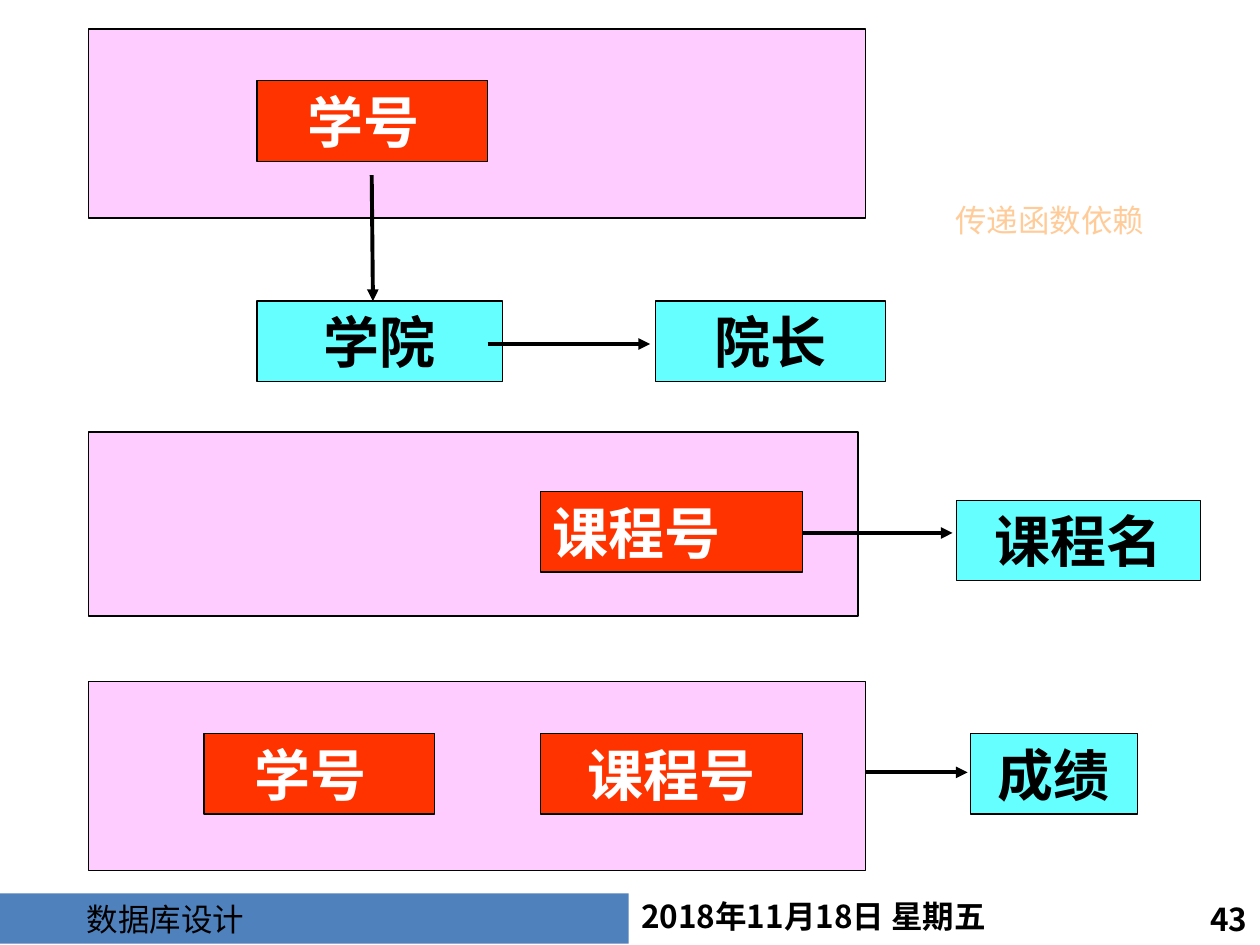
from dataclasses import dataclass

from lxml.etree import SubElement as Sub
from pptx import Presentation
from pptx.dml.color import RGBColor as Rgb
from pptx.enum.shapes import MSO_CONNECTOR as Conn, MSO_SHAPE as Kind
from pptx.enum.text import MSO_ANCHOR as Anchor, PP_ALIGN as Align
from pptx.oxml.ns import qn
from pptx.util import Inches, Pt


@dataclass(frozen=True)
class Theme:
    """Colours, fonts and type sizes of the slide."""
    panel: str = "FFCCFF"
    key: str = "FF3300"
    field: str = "66FFFF"
    bar: str = "4F81BD"
    ink: str = "000000"
    white: str = "FFFFFF"
    note: str = "FFCC99"
    serif: str = "Times New Roman"
    sans: str = "Noto Sans CJK SC"
    bar_face: str = "Noto Sans CJK JP"
    big: int = 32
    small: int = 18
    thin: float = 0.75
    thick: float = 2.25


T = Theme()
LEFT, MID, RIGHT = Align.LEFT, Align.CENTER, Align.RIGHT


def apply(item, form):
    """Set each format value on the item."""
    for name, value in form.items():
        setattr(item, name, value)


def write(shape, text, color, face, size, bold=True, align=MID, pad=0.1,
          anchor=Anchor.MIDDLE, wrap=True):
    """Put one formatted line of text in a shape."""
    frame = shape.text_frame
    apply(frame, {
        "word_wrap": wrap, "vertical_anchor": anchor,
        "margin_left": Inches(pad), "margin_right": Inches(0.1),
        "margin_top": Inches(0.05), "margin_bottom": Inches(0.05),
    })
    para = frame.paragraphs[0]
    para.alignment = align
    run = para.add_run()
    run.text = text
    apply(run.font, {"name": face, "size": Pt(size), "bold": bold})
    run.font.color.rgb = Rgb.from_string(color)
    east = T.sans if face == T.serif else face
    Sub(run.font._element, qn("a:ea"), typeface=east)


def block(slide, area, fill, edge=True):
    """Draw a flat rectangle."""
    shape = slide.shapes.add_shape(Kind.RECTANGLE, *map(Inches, area))
    shape.shadow.inherit = False
    shape.fill.solid()
    shape.fill.fore_color.rgb = Rgb.from_string(fill)
    if edge:
        shape.line.color.rgb = Rgb.from_string(T.ink)
        shape.line.width = Pt(T.thin)
    else:
        shape.line.fill.background()
    return shape


def node(slide, text, left, top, width, fill, **form):
    """Draw a labelled attribute box."""
    color = T.white if fill == T.key else T.ink
    shape = block(slide, (left, top, width, 0.64), fill)
    write(shape, text, color, T.serif, T.big, **form)


def label(slide, text, area, color=T.ink, **form):
    """Add a line of small free text."""
    box = slide.shapes.add_textbox(*map(Inches, area))
    write(box, text, color, T.sans, T.small, anchor=Anchor.TOP, **form)


def arrow(slide, *ends):
    """Draw an arrow between two points."""
    line = slide.shapes.add_connector(Conn.STRAIGHT, *map(Inches, ends))
    line.line.color.rgb = Rgb.from_string(T.ink)
    line.line.width = Pt(T.thick)
    Sub(line.line._get_or_add_ln(), qn("a:tailEnd"), type="triangle")
    Sub(line._element.spPr, qn("a:effectLst"))


def footer(slide):
    """Add the course bar, the date and the page number."""
    bar = block(slide, (0, 7.09, 4.99, 0.4), T.bar, edge=False)
    write(bar, "数据库设计", T.ink, T.bar_face, T.small, bold=False,
          align=LEFT, pad=0.69)
    label(slide, "2018年11月18日 星期五", (4.99, 7.07, 3.56, 0.4), align=LEFT)
    label(slide, "43", (8.7, 7.09, 1.3, 0.4), align=RIGHT)


def main():
    """Build the slide of functional dependencies."""
    deck = Presentation()
    apply(deck, {"slide_width": Inches(10), "slide_height": Inches(7.5)})
    slide = deck.slides.add_slide(deck.slide_layouts[6])
    footer(slide)

    for top, width, height in ((0.23, 6.17, 1.5), (3.43, 6.11, 1.46),
                               (5.41, 6.17, 1.5)):
        block(slide, (0.7, top, width, height), T.panel)

    for text, left, top, width in (("学院", 2.04, 2.39, 1.95),
                                   ("院长", 5.2, 2.39, 1.83),
                                   ("课程名", 7.59, 3.97, 1.94),
                                   ("成绩", 7.7, 5.82, 1.33)):
        node(slide, text, left, top, width, T.field)

    for left, top in ((2.04, 0.64), (1.62, 5.82)):
        node(slide, "学号", left, top, 1.83, T.key, align=LEFT, pad=0.4)
    for top, align in ((3.9, LEFT), (5.82, MID)):
        node(slide, "课程号", 4.29, top, 2.08, T.key, align=align)

    for ends in ((2.95, 1.39, 2.96, 2.39), (3.87, 2.73, 5.16, 2.73),
                 (6.37, 4.23, 7.56, 4.23), (6.87, 6.13, 7.68, 6.13)):
        arrow(slide, *ends)

    label(slide, "传递函数依赖", (6.87, 1.55, 2.92, 0.67), T.note,
          bold=False, wrap=False)
    deck.save("out.pptx")


if __name__ == "__main__":
    main()
